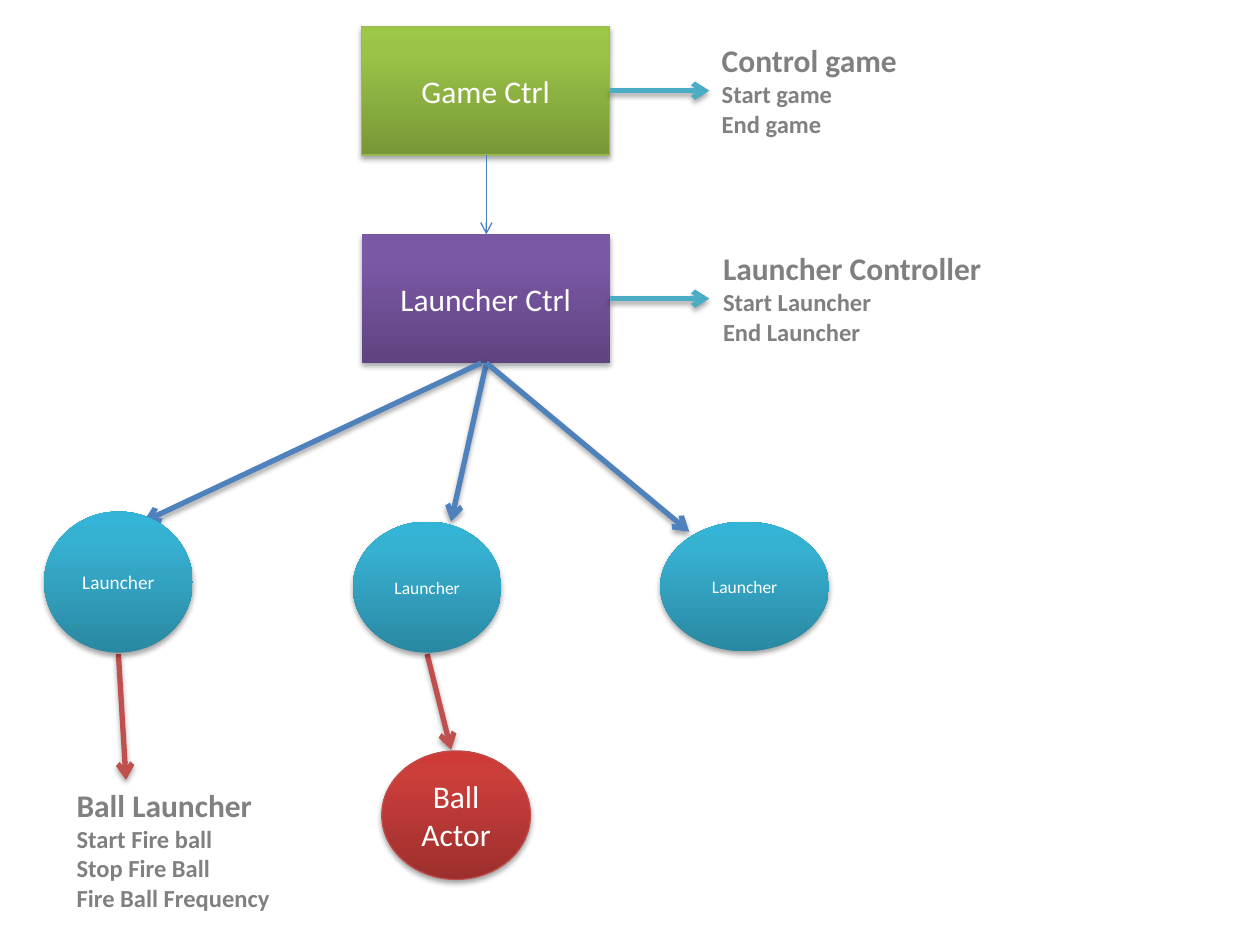
"""Builds the game control diagram slide."""
from copy import deepcopy
from pptx import Presentation
from pptx.dml.color import RGBColor
from pptx.enum import shapes, text
from pptx.oxml import parse_xml
from pptx.oxml.ns import nsdecls, qn
from pptx.util import Inches, Pt

HUES = {
    "white": "FFFFFF", "grey": "808080", "thin": "4B7EBC",
    "blue": "4F81BD", "teal": "4BACC6", "red": "C0504D",
    "green edge": "98B955", "red edge": "BF4C48",
}
FADES = {
    "green": ("779737", "9BC348", "9DC746"),
    "purple": ("5F4480", "7B58A6", "7C57A8"),
    "teal": ("2A88A2", "37B1D2", "34B4D6"),
    "red": ("9C2F2D", "CB3E3A", "CE3B37"),
}
SHADE = (
    f'<a:effectLst {nsdecls("a")}><a:outerShdw blurRad="{Pt(3.1)}" dist="{Pt(1.8)}" '
    'dir="5400000" rotWithShape="0"><a:srgbClr val="000000"><a:alpha val="35000"/>'
    '</a:srgbClr></a:outerShdw></a:effectLst>'
)
RECT, OVAL = shapes.MSO_SHAPE.RECTANGLE, shapes.MSO_SHAPE.OVAL


def write(par, words, size, hue, bold=False):
    run = par.add_run()
    run.text = words
    run.font.name, run.font.size, run.font.bold = "Calibri", Pt(size), bold
    run.font.color.rgb = RGBColor.from_string(HUES[hue])


def add_node(kind, box, fade, words, size, edge=None):
    node = slide.shapes.add_shape(kind, *map(Inches, box))
    node.fill.gradient()
    node.fill.gradient_angle = 90
    stops = node._element.spPr.find(".//" + qn("a:gsLst"))
    stops.append(deepcopy(stops[0]))
    for stop, spot, hue in zip(node.fill.gradient_stops, (0, 0.8, 1), FADES[fade]):
        stop.position = spot
        stop.color.rgb = RGBColor.from_string(hue)
    if edge:
        node.line.color.rgb = RGBColor.from_string(HUES[edge])
        node.line.width = Pt(0.75)
    else:
        node.line.fill.background()
    node._element.spPr.append(parse_xml(SHADE))
    frame = node.text_frame
    frame.word_wrap = True
    frame.vertical_anchor = text.MSO_ANCHOR.MIDDLE
    frame.paragraphs[0].alignment = text.PP_ALIGN.CENTER
    write(frame.paragraphs[0], words, size, "white")


deck = Presentation()
deck.slide_width, deck.slide_height = Inches(10), Inches(7.5)
slide = deck.slides.add_slide(deck.slide_layouts[6])

add_node(RECT, (2.87, 0.21, 1.97, 1.02), "green", "Game Ctrl", 18, "green edge")
add_node(RECT, (2.87, 1.86, 1.97, 1.02), "purple", "Launcher Ctrl", 18)

links = [
    (3.86, 1.23, 3.86, 1.86, "thin"),
    (3.82, 2.88, 1.14, 4.14, "blue"),
    (3.86, 2.88, 3.58, 4.14, "blue"),
    (3.86, 2.88, 5.47, 4.22, "blue"),
    (4.84, 0.72, 5.63, 0.72, "teal"),
    (4.84, 2.37, 5.63, 2.37, "teal"),
    (0.94, 5.19, 1, 6.19, "red"),
    (3.39, 5.19, 3.58, 5.95, "red"),
]
for *ends, hue in links:
    link = slide.shapes.add_connector(shapes.MSO_CONNECTOR.STRAIGHT, *map(Inches, ends))
    link.line.color.rgb = RGBColor.from_string(HUES[hue])
    link.line.width = Pt(0.75 if hue == "thin" else 3)
    link.line._get_or_add_ln().append(parse_xml(f'<a:tailEnd {nsdecls("a")} type="arrow"/>'))
    plain = f'<a:effectLst {nsdecls("a")}/>'
    link._element.spPr.append(parse_xml(plain if hue == "thin" else SHADE))

for box, size in [
    ((0.35, 4.06, 1.18, 1.12), 11),
    ((2.8, 4.14, 1.18, 1.04), 10),
    ((5.24, 4.14, 1.34, 1.03), 10),
]:
    add_node(OVAL, box, "teal", "Launcher", size)
add_node(OVAL, (3.03, 5.96, 1.18, 1.02), "red", "Ball Actor", 18, "red edge")

labels = [
    ((5.63, 0.28, 1.6, 0.88), ["Control game", "Start game", "End game"]),
    ((5.64, 1.93, 2.27, 0.88), ["Launcher Controller", "Start Launcher", "End Launcher"]),
    ((0.51, 6.19, 1.74, 1.11),
     ["Ball Launcher", "Start Fire ball", "Stop Fire Ball", "Fire Ball Frequency"]),
]
for box, rows in labels:
    label = slide.shapes.add_textbox(*map(Inches, box))
    frame = label.text_frame
    frame.word_wrap = False
    frame.auto_size = text.MSO_AUTO_SIZE.SHAPE_TO_FIT_TEXT
    for i, row in enumerate(rows):
        par = frame.add_paragraph() if i else frame.paragraphs[0]
        write(par, row, 14 if i else 18, "grey", True)

deck.save("out.pptx")
